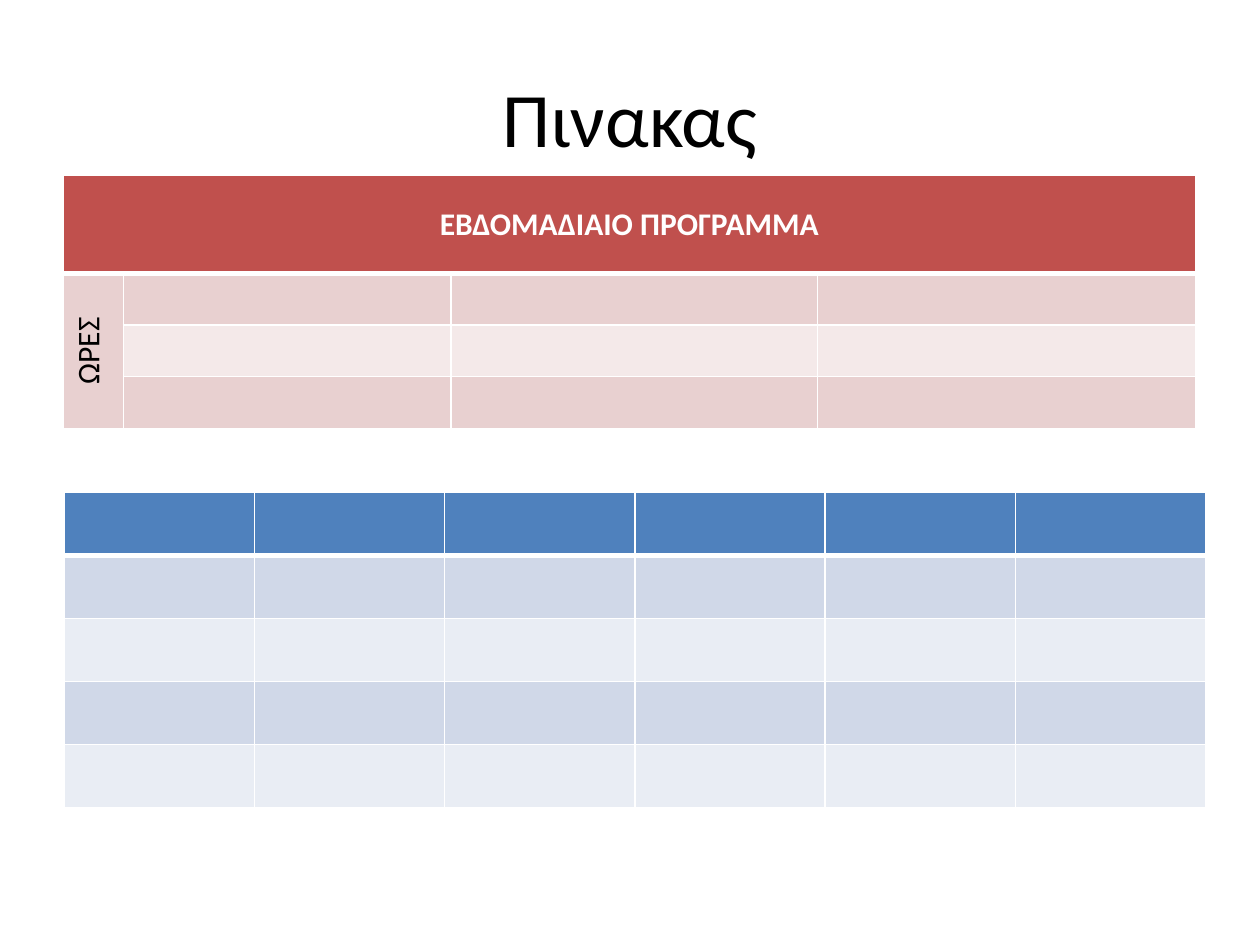
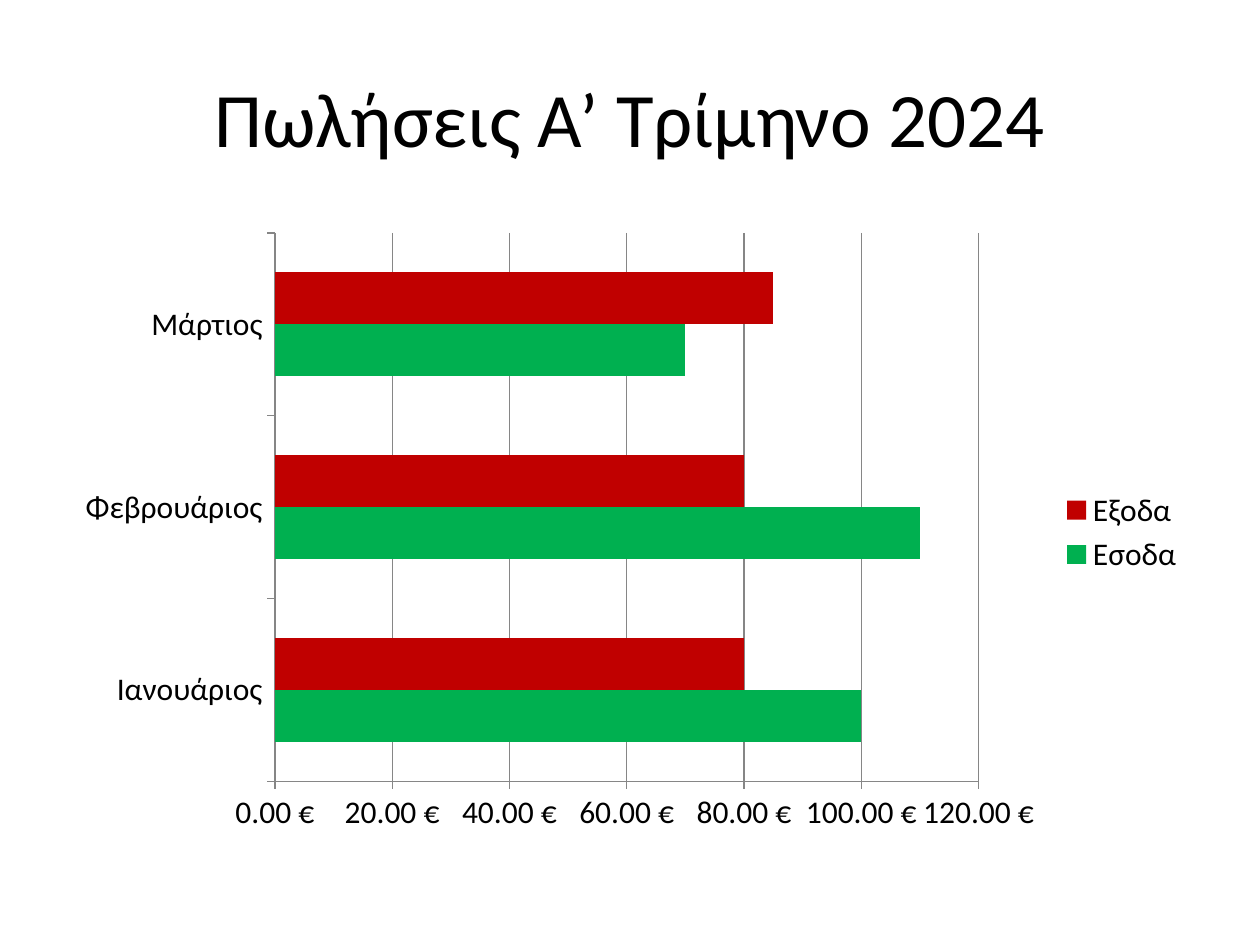
from lxml.etree import SubElement
from pptx import Presentation
from pptx.chart.data import CategoryChartData
from pptx.dml.color import RGBColor
from pptx.enum.chart import XL_CHART_TYPE, XL_LEGEND_POSITION, XL_TICK_MARK
from pptx.enum.text import MSO_ANCHOR, PP_ALIGN
from pptx.oxml.ns import qn
from pptx.util import Pt

# Content
TITLES = ["Πινακας", "Πωλήσεις Α’ Τρίμηνο 2024"]
SCHEDULE_HEADING = "ΕΒΔΟΜΑΔΙΑΙΟ ΠΡΟΓΡΑΜΜΑ"
HOURS_LABEL = "ΩΡΕΣ"
MONTHS = ["Ιανουάριος", "Φεβρουάριος", "Μάρτιος"]
SALES = [("Εσοδα", (100, 110, 70), "income"), ("Εξοδα", (80, 80, 85), "expense")]

# Layout in px, 100 px to the inch
EMU_PER_PX = 9144
SLIDE_SIZE = (1000, 750)
TITLE_BOX = (50, 30, 900, 125)
CHART_BOX = (50, 175, 900, 495)
SCHEDULE = {"corner": (50, 139), "columns": [48, 260, 291, 300],
            "rows": [78] + [41] * 3, "palette": "red"}
GRID = {"corner": (51, 391), "columns": [151] * 6,
        "rows": [50] * 5, "palette": "blue"}

# Shared style
FONT = "Calibri"
COLORS = {
    "black": "000000", "white": "FFFFFF", "axis": "868686",
    "income": "00B050", "expense": "C00000",
    "red head": "C0504D", "red odd": "E8D0D0", "red even": "F4E9E9",
    "blue head": "4F81BD", "blue odd": "D0D8E8", "blue even": "E9EDF4",
}


def px(*lengths):
    return [length * EMU_PER_PX for length in lengths]


def color(name):
    return RGBColor.from_string(COLORS[name])


def write(frame, text, size, color_name="black", bold=False):
    paragraph = frame.paragraphs[0]
    paragraph.alignment = PP_ALIGN.CENTER
    run = paragraph.add_run()
    run.text = text
    run.font.name, run.font.size, run.font.bold = FONT, Pt(size), bold
    run.font.color.rgb = color(color_name)


def add_titled_slide(deck, title):
    slide = deck.slides.add_slide(deck.slide_layouts[6])
    frame = slide.shapes.add_textbox(*px(*TITLE_BOX)).text_frame
    frame.word_wrap = True
    frame.vertical_anchor = MSO_ANCHOR.MIDDLE
    write(frame, title, 44)
    return slide


def add_border(cell, side, points):
    line = SubElement(cell._tc.get_or_add_tcPr(), qn(f"a:ln{side}"), w=str(Pt(points)))
    SubElement(SubElement(line, qn("a:solidFill")), qn("a:srgbClr"), val=COLORS["white"])


def add_banded_table(slide, corner, columns, rows, palette):
    box = px(*corner, sum(columns), sum(rows))
    table = slide.shapes.add_table(len(rows), len(columns), *box).table
    for column, width in zip(table.columns, px(*columns)):
        column.width = width
    for row_index, (row, height) in enumerate(zip(table.rows, px(*rows))):
        row.height = height
        band = "head" if row_index == 0 else ("even", "odd")[row_index % 2]
        for cell in row.cells:
            # The rule under the heading row is thicker than the others
            for side in "LRTB":
                under_heading = (side, row_index) in (("B", 0), ("T", 1))
                add_border(cell, side, 3 if under_heading else 1)
            cell.fill.solid()
            cell.fill.fore_color.rgb = color(f"{palette} {band}")
            cell.vertical_anchor = MSO_ANCHOR.MIDDLE
    return table


def add_schedule(slide):
    table = add_banded_table(slide, **SCHEDULE)
    heading, hours = table.cell(0, 0), table.cell(1, 0)
    heading.merge(table.cell(0, 3))
    hours.merge(table.cell(3, 0))
    write(heading.text_frame, SCHEDULE_HEADING, 18, "white", bold=True)
    write(hours.text_frame, HOURS_LABEL, 18)
    hours._tc.get_or_add_tcPr().set("vert", "vert270")


def add_sales_chart(slide):
    sales = CategoryChartData(number_format='#,##0.00\\ "€"')
    sales.categories = MONTHS
    for name, amounts, _ in SALES:
        sales.add_series(name, amounts)
    chart = slide.shapes.add_chart(
        XL_CHART_TYPE.BAR_CLUSTERED, *px(*CHART_BOX), sales).chart
    chart.has_title = False
    chart.font.name, chart.font.size = FONT, Pt(18)
    chart.font.color.rgb = color("black")

    # Bars
    plot = chart.plots[0]
    plot.gap_width = 150
    plot.vary_by_categories = False
    for bars, (_, _, color_name) in zip(plot.series, SALES):
        bars.format.fill.solid()
        bars.format.fill.fore_color.rgb = color(color_name)

    # Axes, gridlines and legend
    amounts_axis, months_axis = chart.value_axis, chart.category_axis
    amounts_axis.has_major_gridlines = True
    for axis in (amounts_axis, months_axis):
        axis.major_tick_mark = XL_TICK_MARK.OUTSIDE
        axis.minor_tick_mark = XL_TICK_MARK.NONE
    for ruled in (amounts_axis, months_axis, amounts_axis.major_gridlines):
        ruled.format.line.color.rgb = color("axis")
        ruled.format.line.width = Pt(0.75)
    chart.has_legend = True
    chart.legend.position = XL_LEGEND_POSITION.RIGHT
    chart.legend.include_in_layout = False


def main():
    deck = Presentation()
    deck.slide_width, deck.slide_height = px(*SLIDE_SIZE)
    tables_slide, sales_slide = [add_titled_slide(deck, title) for title in TITLES]
    add_schedule(tables_slide)
    add_banded_table(tables_slide, **GRID)
    add_sales_chart(sales_slide)
    deck.save("out.pptx")


if __name__ == "__main__":
    main()
